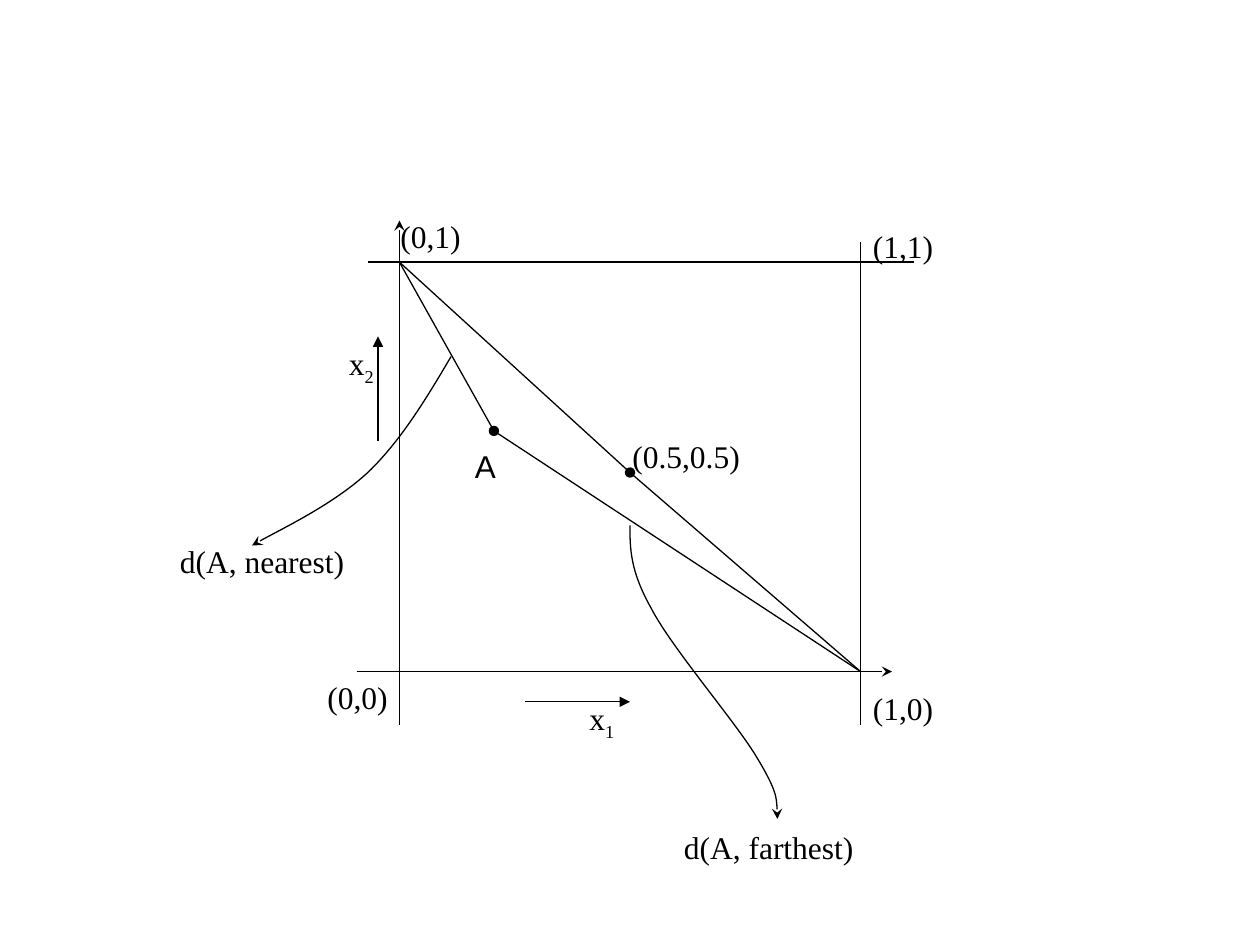
from pptx import Presentation
from pptx.dml.color import RGBColor
from pptx.enum.shapes import MSO_CONNECTOR
from pptx.enum.text import MSO_AUTO_SIZE
from pptx.oxml.ns import qn
from pptx.util import Inches, Pt
from lxml.etree import SubElement

BLACK = RGBColor(0, 0, 0)
SERIF = "Times New Roman"
SANS = "Arial"

# Corners of the unit square on the slide, and the points inside it
LEFT, RIGHT, TOP, BOTTOM = 3.17, 6.83, 2.08, 5.33
NEAREST = (LEFT, TOP)
FARTHEST = (RIGHT, BOTTOM)
MIDDLE = (5, 3.75)
POINT_A = (3.92, 3.42)


def style_line(line, head=None, tail=None):
    """Thin black line with optional end marks."""
    line.color.rgb = BLACK
    line.width = Pt(0.75)
    outline = line._get_or_add_ln()
    for tag, mark in (("a:headEnd", head), ("a:tailEnd", tail)):
        if mark:
            SubElement(outline, qn(tag), type=mark)


def add_line(slide, start, end, head=None, tail=None):
    connector = slide.shapes.add_connector(
        MSO_CONNECTOR.STRAIGHT, *(Inches(value) for value in (*start, *end)))
    style_line(connector.line, head, tail)
    SubElement(connector.element.spPr, qn("a:effectLst"))


def add_curved_arrow(slide, start, control_points):
    """Cubic curve; every three control points make one segment."""
    builder = slide.shapes.build_freeform(
        Inches(start[0]), Inches(start[1]))
    builder.add_line_segments(
        [(Inches(x), Inches(y)) for x, y in control_points], close=False)
    shape = builder.convert_to_shape()
    shape.shadow.inherit = False
    shape.fill.background()
    style_line(shape.line, tail="stealth")

    # Turn the straight steps into cubic segments
    outline = shape.element.find(".//" + qn("a:path"))
    for index, step in enumerate(outline.findall(qn("a:lnTo"))):
        if index % 3 == 0:
            segment = SubElement(outline, qn("a:cubicBezTo"))
        segment.append(step[0])
        outline.remove(step)


def add_label(slide, text, left, top, width, height=0.4, subscript=None,
              font_name=SERIF, wrap=True):
    box = slide.shapes.add_textbox(
        Inches(left), Inches(top), Inches(width), Inches(height))
    frame = box.text_frame
    frame.word_wrap = wrap
    frame.auto_size = MSO_AUTO_SIZE.SHAPE_TO_FIT_TEXT
    paragraph = frame.paragraphs[0]
    if wrap:
        paragraph.space_before = Pt(11.2)
    for content, baseline in ((text, None), (subscript, "-25000")):
        if content is None:
            continue
        run = paragraph.add_run()
        run.text = content
        run.font.name = font_name
        run.font.size = Pt(18)
        run.font.color.rgb = BLACK
        if baseline:
            run.font._element.set("baseline", baseline)


def add_axes(slide):
    # Sides of the square, drawn past its corners
    add_line(slide, (LEFT, 1.75), (LEFT, 5.75), head="stealth")
    add_line(slide, (2.83, BOTTOM), (7.08, BOTTOM), tail="stealth")
    add_line(slide, (2.92, TOP), (7.25, TOP))
    add_line(slide, (RIGHT, 1.92), (RIGHT, 5.75))

    # Corner coordinates
    for text, left, top in (("(1,0)", 6.83, 5.42), ("(0,0)", 2.5, 5.33),
                            ("(0,1)", 3.08, 1.67), ("(1,1)", 6.83, 1.75)):
        add_label(slide, text, left, top, 0.83)

    # Axis directions and names
    add_line(slide, (4.17, 5.57), (5, 5.57), tail="triangle")
    add_line(slide, (3, 3.5), (3, 2.67), tail="triangle")
    add_label(slide, "x", 4.58, 5.5, 0.83, 0.44, subscript="1")
    add_label(slide, "x", 2.67, 2.68, 0.5, 0.44, subscript="2")


def add_distances(slide):
    # Diagonal through the middle, and the two distances from A
    add_line(slide, NEAREST, MIDDLE, tail="oval")
    add_line(slide, NEAREST, POINT_A, tail="oval")
    add_line(slide, POINT_A, FARTHEST)
    add_line(slide, MIDDLE, FARTHEST)

    # Curved pointers with their labels
    add_curved_arrow(slide, (3.58, 2.83), [
        (3.38, 3.17), (3.18, 3.5), (2.92, 3.75),
        (2.65, 4), (2.15, 4.24), (2, 4.33)])
    add_label(slide, "d(A, nearest)", 1.33, 4.25, 1.83)
    add_label(slide, "d(A, farthest)", 5.33, 6.52, 1.83)
    add_curved_arrow(slide, (5, 4.17), [
        (5, 4.35), (5, 4.53), (5.17, 4.83),
        (5.33, 5.14), (5.83, 5.72), (6, 6),
        (6.17, 6.28), (6.17, 6.39), (6.17, 6.5)])

    # Point names
    add_label(slide, "(0.5,0.5)", 4.92, 3.42, 1.08)
    add_label(slide, "A", 3.67, 3.5, 0.36, font_name=SANS, wrap=False)


def main():
    presentation = Presentation()
    presentation.slide_width = Inches(10)
    presentation.slide_height = Inches(7.5)
    slide = presentation.slides.add_slide(presentation.slide_layouts[6])
    add_axes(slide)
    add_distances(slide)
    presentation.save("out.pptx")


if __name__ == "__main__":
    main()
